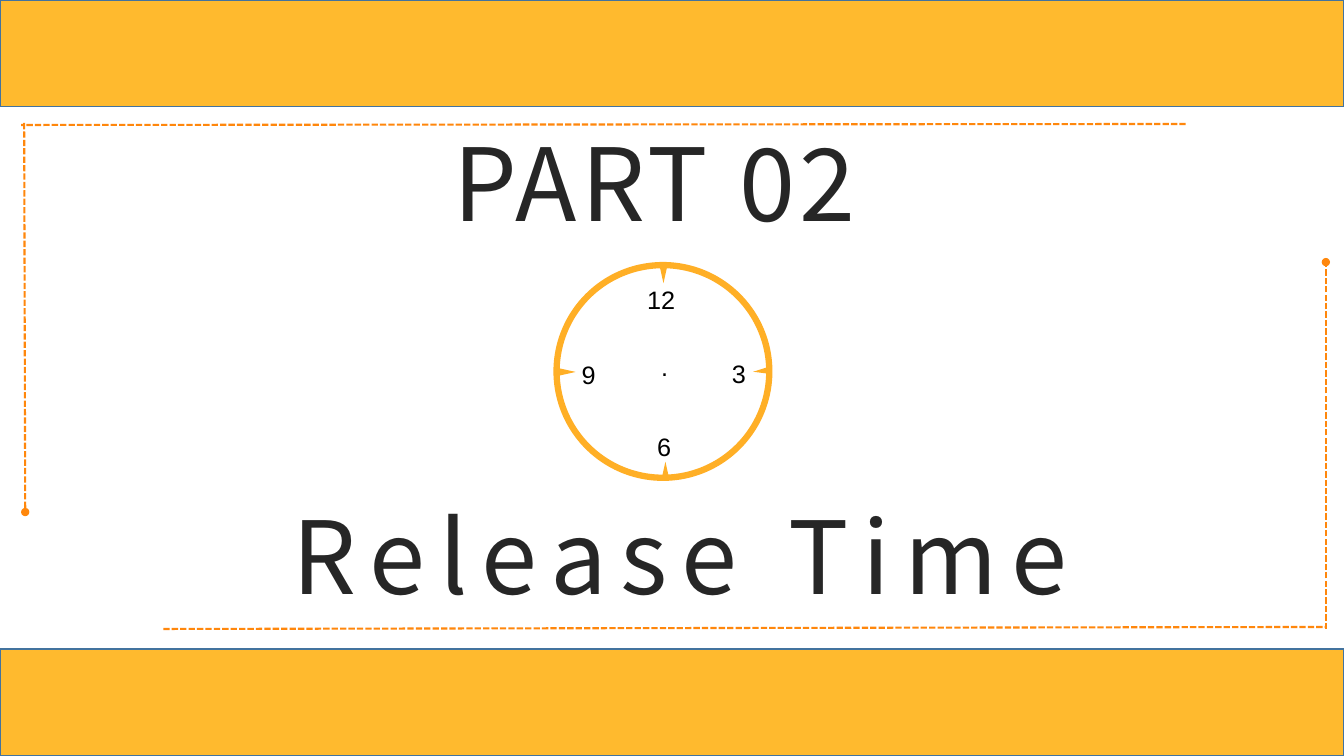
"""Build the section slide for part 02, Release Time."""
import pptx
import pptx.util
import pptx.dml.color
import pptx.enum.dml
import pptx.enum.shapes
import pptx.enum.text
import pptx.oxml

Inches, Pt = pptx.util.Inches, pptx.util.Pt
SHAPE = pptx.enum.shapes.MSO_SHAPE
TEXT = pptx.enum.text
NS = 'xmlns:a="http://schemas.openxmlformats.org/drawingml/2006/main"'

WIDE, HIGH, BAND = 13.33, 7.5, 1.06
GOLD, EDGE, RING, DASH, INK = "FFBA2E", "43739E", "FFAF26", "FF870C", "262626"
HEADS = [
    ("PART 02", (3.6, 1.15, 5.78, 1.31), 3),
    ("Release Time", (2.59, 4.85, 8.32, 1.31), 10),
]
BANDS = [HIGH - BAND, 0]
LINES = [
    ((1.62, 6.24), (13.15, 6.22), False),
    ((13.15, 6.24), (13.15, 2.6), True),
    ((11.76, 1.23), (0.21, 1.24), False),
    ((0.24, 1.22), (0.25, 5.08), True),
]
DIAL = (5.52, 2.63, 2.11, 2.11)
TICKS = [(6.54, 2.63, 180), (5.58, 3.6, 90), (6.56, 4.58, 0), (7.52, 3.59, 265)]
MARKS = [
    ("9", 5.67, 3.52, 0.34),
    ("6", 6.42, 4.23, 0.34),
    ("3", 7.16, 3.51, 0.34),
    ("12", 6.32, 2.77, 0.48),
    (".", 6.46, 3.44, 0.27),
]


def tint(part, code):
    part.rgb = pptx.dml.color.RGBColor.from_string(code)


def place(box):
    return [Inches(n) for n in box]


def draw(slide, kind, box, fill=None, edge=None, width=1):
    shape = slide.shapes.add_shape(kind, *place(box))
    shape.shadow.inherit = False
    if fill:
        shape.fill.solid()
        tint(shape.fill.fore_color, fill)
    else:
        shape.fill.background()
    if edge:
        tint(shape.line.color, edge)
        shape.line.width = Pt(width)
    else:
        shape.line.fill.background()
    return shape


def write(frame, text, size, face, code):
    frame.text = text
    run = frame.paragraphs[0].runs[0]
    run.font.size = Pt(size)
    run.font.name = face
    tint(run.font.color, code)
    return run


def head(shape, text, box, gap):
    shape.left, shape.top, shape.width, shape.height = place(box)
    frame = shape.text_frame
    run = write(frame, text, 72, "Noto Sans CJK SC", INK)
    run.font._element.set("spc", str(gap * 100))
    frame.word_wrap = True
    frame.auto_size = TEXT.MSO_AUTO_SIZE.NONE
    frame.vertical_anchor = TEXT.MSO_ANCHOR.TOP
    para = frame.paragraphs[0]
    para.alignment = TEXT.PP_ALIGN.CENTER
    para.space_before = Pt(0)


def rule(slide, start, end, dot):
    kind = pptx.enum.shapes.MSO_CONNECTOR.STRAIGHT
    line = slide.shapes.add_connector(kind, *place(start + end))
    tint(line.line.color, DASH)
    line.line.width = Pt(1.5)
    line.line.dash_style = pptx.enum.dml.MSO_LINE.SQUARE_DOT
    if dot:
        tail = pptx.oxml.parse_xml(f'<a:tailEnd {NS} type="oval"/>')
        line.line._get_or_add_ln().append(tail)
    line._element.spPr.append(pptx.oxml.parse_xml(f"<a:effectLst {NS}/>"))


def main():
    deck = pptx.Presentation()
    deck.slide_width, deck.slide_height = Inches(WIDE), Inches(HIGH)
    slide = deck.slides.add_slide(deck.slide_layouts[0])
    for shape, item in zip(slide.placeholders, HEADS):
        head(shape, *item)
    for top in BANDS:
        draw(slide, SHAPE.RECTANGLE, (0, top, WIDE, BAND), GOLD, EDGE)
    for item in LINES:
        rule(slide, *item)
    draw(slide, SHAPE.OVAL, DIAL, edge=RING, width=4.5)
    for left, top, turn in TICKS:
        tick = draw(slide, SHAPE.ISOSCELES_TRIANGLE, (left, top, 0.08, 0.18), RING)
        tick.rotation = turn
    for text, left, top, width in MARKS:
        mark = slide.shapes.add_textbox(*place((left, top, width, 0.4)))
        write(mark.text_frame, text, 18, "Arial", "000000")
        mark.text_frame.word_wrap = False
    deck.save("out.pptx")


if __name__ == "__main__":
    main()
